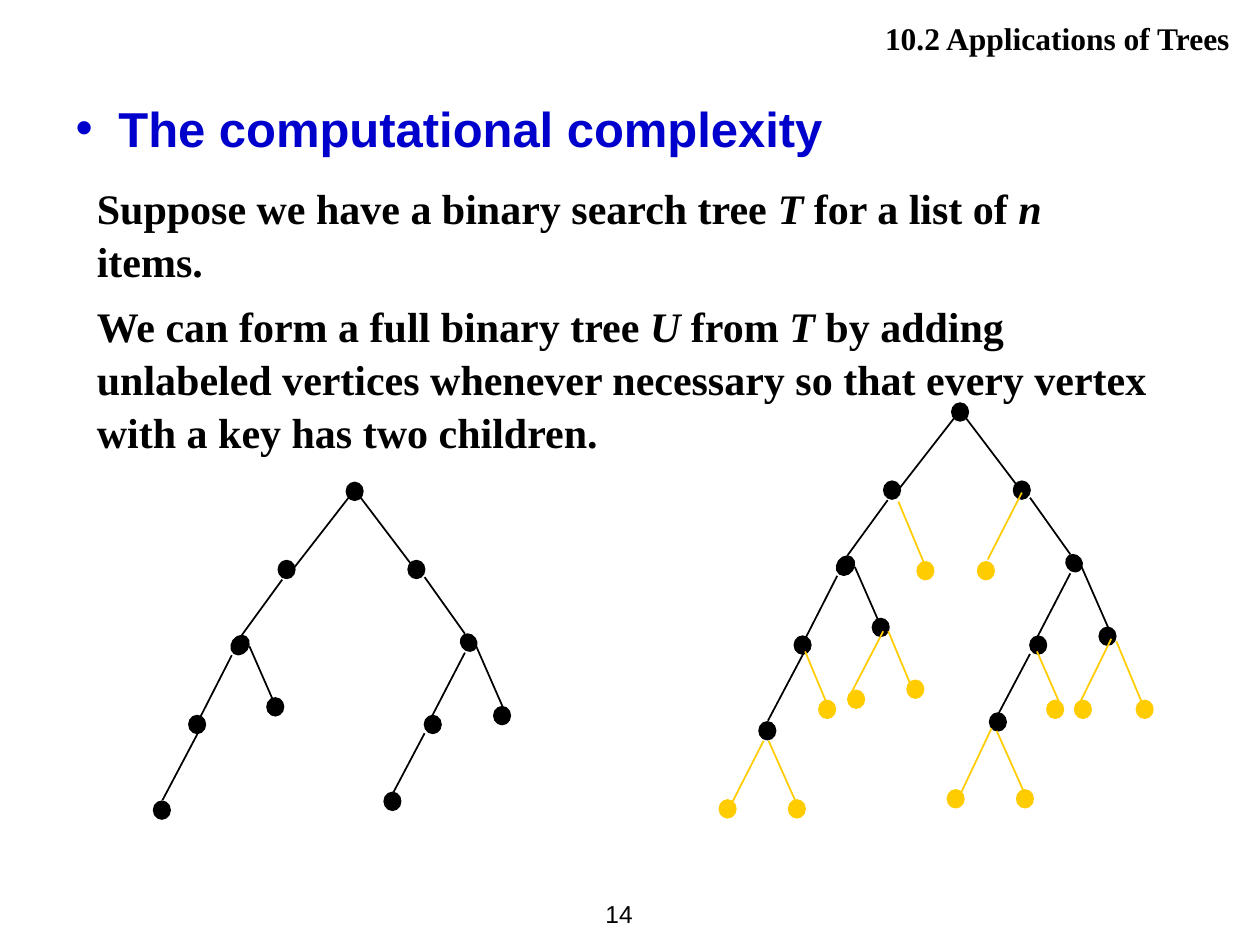
"""Build a slide that extends a binary search tree to a full binary tree."""
from typing import NamedTuple

from lxml.etree import SubElement
from pptx import Presentation
from pptx.dml.color import RGBColor
from pptx.enum.shapes import MSO_CONNECTOR, MSO_SHAPE
from pptx.enum.text import MSO_ANCHOR, PP_ALIGN
from pptx.oxml.ns import qn
from pptx.util import Inches, Pt

BLACK = RGBColor(0x00, 0x00, 0x00)
BLUE = RGBColor(0x00, 0x00, 0xCC)
GOLD = RGBColor(0xFF, 0xCC, 0x00)
SANS, SERIF = "Arial", "Times New Roman"
WIDTH, HEIGHT = Inches(10), Inches(7.5)
COLUMNS, ROWS = 100, 75


class Vertex(NamedTuple):
    """Left and top of a dot in grid units, with its size and rotation."""
    left: float
    top: float
    width: float = 1.3
    height: float = 1.4
    turn: float = 0


class Edge(NamedTuple):
    """Start and end of a line in grid units."""
    start_column: float
    start_row: float
    end_column: float
    end_row: float


class Span(NamedTuple):
    """A piece of text and its slant."""
    text: str
    italic: bool = False


KEY_VERTICES = [
    Vertex(27.5, 38.3),
    Vertex(22.1, 44.5), Vertex(32.4, 44.5),
    Vertex(18.4, 50.4, 1.3, 1.6, 35.2), Vertex(36.6, 50.3, 1.2, 1.4, 324.8),
    Vertex(15, 56.8), Vertex(21.2, 55.4), Vertex(33.7, 56.8), Vertex(39.2, 56.1),
    Vertex(12.2, 63.6), Vertex(30.5, 62.9),
]
KEY_EDGES = [
    Edge(27.9, 39.2, 23, 45.5), Edge(28.4, 39.2, 32.8, 45),
    Edge(22.4, 46, 19.2, 50.4), Edge(33.7, 45.8, 36.9, 50.3),
    Edge(18.4, 52, 15.7, 57.3), Edge(19.8, 51.3, 21.9, 56.1),
    Edge(36.9, 51.8, 34.1, 57.2), Edge(37.8, 51.3, 39.9, 56.1),
    Edge(15.7, 58.2, 12.9, 63.5), Edge(33.7, 58.2, 30.9, 63.5),
]
ADDED_VERTICES = [
    Vertex(72.8, 44.6), Vertex(77.6, 44.6),
    Vertex(67.3, 54.8), Vertex(72, 54),
    Vertex(65, 55.6), Vertex(83.1, 55.6), Vertex(85.3, 55.6), Vertex(90.2, 55.6),
    Vertex(57.1, 63.5), Vertex(62.6, 63.5), Vertex(75.2, 62.7), Vertex(80.7, 62.7),
]
ADDED_EDGES = [
    Edge(71.3, 39.8, 73.3, 44.6), Edge(81.1, 39.1, 78.4, 44.4),
    Edge(70.1, 50.1, 67.3, 55.5), Edge(70.5, 50.1, 72.5, 54.9),
    Edge(63.9, 51.7, 65.9, 56.5), Edge(82.3, 51.7, 84.4, 56.5),
    Edge(88.2, 50.7, 85.4, 56.4), Edge(88.6, 50.9, 90.6, 55.7),
    Edge(60.6, 58.8, 57.9, 64.1), Edge(61, 58.8, 63.1, 63.5),
    Edge(78.7, 57.8, 76, 63.5), Edge(79.1, 58, 81.2, 62.7),
]
BODY = [
    [Span("Suppose we have a binary search tree "), Span("T", True),
     Span(" for a list of "), Span("n", True), Span(" items.")],
    [Span("We can form a full binary tree "), Span("U", True), Span(" from "),
     Span("T", True), Span(" by adding unlabeled vertices whenever necessary so "
                           "that every vertex with a key has two children.")],
]


def across(columns: float) -> int:
    """Turn grid columns into a length."""
    return round(WIDTH * columns / COLUMNS)


def down(rows: float) -> int:
    """Turn grid rows into a length."""
    return round(HEIGHT * rows / ROWS)


def draw_tree(page, vertices: list[Vertex], edges: list[Edge], color: RGBColor,
              shift: tuple[float, float] = (0, 0)) -> None:
    """Draw one group of edges and dots, moved by the shift."""
    right, lower = shift
    shapes = page.shapes.add_group_shape().shapes
    for edge in edges:
        line = shapes.add_connector(
            MSO_CONNECTOR.STRAIGHT,
            across(edge.start_column + right), down(edge.start_row + lower),
            across(edge.end_column + right), down(edge.end_row + lower))
        line.line.color.rgb = color
        line.line.width = Pt(1)
        SubElement(line._element.spPr, qn("a:effectLst"))
    for vertex in vertices:
        dot = shapes.add_shape(
            MSO_SHAPE.OVAL, across(vertex.left + right), down(vertex.top + lower),
            across(vertex.width), down(vertex.height))
        dot.rotation = vertex.turn
        dot.shadow.inherit = False
        dot.fill.solid()
        dot.fill.fore_color.rgb = color
        dot.line.color.rgb = color
        dot.line.width = Pt(1)


def add_span(para, span: Span, size: float, font: str, color: RGBColor,
             bold: bool = True) -> None:
    """Add one formatted run to a paragraph."""
    run = para.add_run()
    run.text = span.text
    run.font.size, run.font.name = Pt(size), font
    run.font.bold, run.font.italic = bold, span.italic
    run.font.color.rgb = color


def add_box(page, left: float, top: float, width: float, height: float):
    """Add a wrapping text box placed on the grid and return its frame."""
    box = page.shapes.add_textbox(across(left), down(top), across(width), down(height))
    box.text_frame.word_wrap = True
    return box.text_frame


def add_title(page) -> None:
    """Place the title and give it a bullet."""
    title = page.shapes.title
    title.left, title.top = across(5), down(6.9)
    title.width, title.height = across(90), down(8.5)
    frame = title.text_frame
    frame.vertical_anchor = MSO_ANCHOR.TOP
    frame.margin_top = down(0.9)
    para = frame.paragraphs[0]
    para.alignment = PP_ALIGN.LEFT
    properties = para._p.get_or_add_pPr()
    properties.set("marL", str(across(3.4)))
    properties.set("indent", str(-across(3.4)))
    SubElement(properties, qn("a:buFont"), typeface=SANS)
    SubElement(properties, qn("a:buChar"), char="•")
    add_span(para, Span("The computational complexity"), 28, SANS, BLUE)


def add_body(page) -> None:
    """Write the two paragraphs of the argument."""
    frame = add_box(page, 6.7, 13.8, 85.8, 18.2)
    for index, spans in enumerate(BODY):
        para = frame.paragraphs[0] if index == 0 else frame.add_paragraph()
        para.line_spacing = 1.05
        if index:
            para.space_before = Pt(7.2)
        for span in spans:
            add_span(para, span, 24, SERIF, BLACK)


def add_margins(page) -> None:
    """Write the section heading and the page number."""
    heading = add_box(page, 39.8, 0.8, 59.4, 4)
    heading.margin_right, heading.margin_top = across(1.6), down(0.7)
    number = add_box(page, 44.5, 70, 6.7, 5)
    number.vertical_anchor = MSO_ANCHOR.MIDDLE
    for frame in (heading, number):
        frame.paragraphs[0].alignment = PP_ALIGN.RIGHT
    add_span(heading.paragraphs[0], Span("10.2 Applications of Trees"), 18, SERIF, BLACK)
    add_span(number.paragraphs[0], Span("14"), 14, SANS, BLACK, bold=False)


def main() -> None:
    """Build and save the deck."""
    deck = Presentation()
    deck.slide_width, deck.slide_height = WIDTH, HEIGHT
    page = deck.slides.add_slide(deck.slide_layouts[5])
    add_title(page)
    add_body(page)
    draw_tree(page, KEY_VERTICES, KEY_EDGES, BLACK)
    draw_tree(page, KEY_VERTICES, KEY_EDGES, BLACK, (48.05, -6.3))
    draw_tree(page, ADDED_VERTICES, ADDED_EDGES, GOLD)
    add_margins(page)
    deck.save("out.pptx")


if __name__ == "__main__":
    main()
